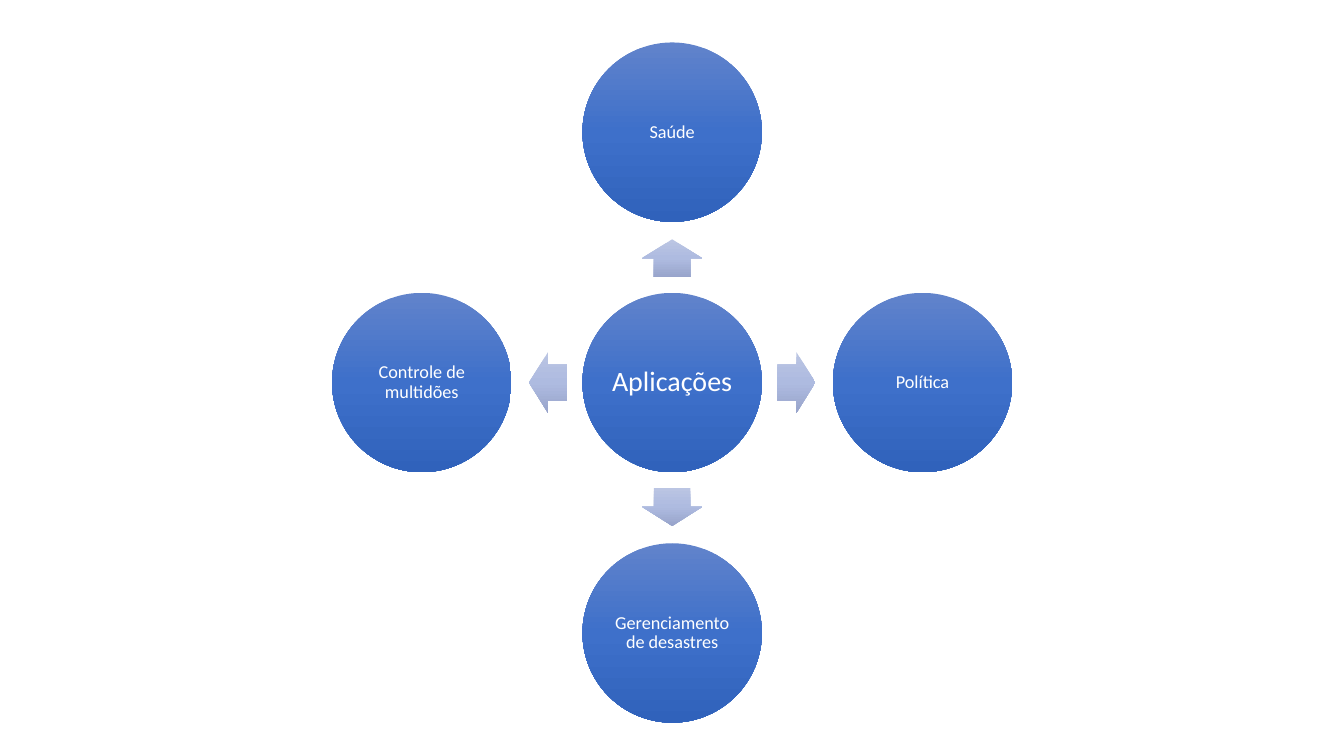
from copy import deepcopy
from dataclasses import dataclass

from pptx import Presentation
from pptx.dml.color import RGBColor
from pptx.enum.shapes import MSO_SHAPE as Preset
from pptx.enum.text import MSO_ANCHOR as Anchor, PP_ALIGN as Align
from pptx.oxml.ns import qn
from pptx.shapes.autoshape import Shape
from pptx.shapes.shapetree import SlideShapes
from pptx.util import Cm, Pt

WHITE = RGBColor(0xFF, 0xFF, 0xFF)
CIRCLE_COLOURS = (
    RGBColor(0x61, 0x83, 0xCB),
    RGBColor(0x3E, 0x70, 0xCA),
    RGBColor(0x30, 0x62, 0xBB),
)
ARROW_COLOURS = (
    RGBColor(0xBB, 0xC5, 0xE3),
    RGBColor(0xAE, 0xBB, 0xE0),
    RGBColor(0x98, 0xA4, 0xCB),
)

CENTRE_X, CENTRE_Y = 16.94, 9.64
DIAMETER = 4.52
CIRCLE_DISTANCE = 6.31
ARROW_DISTANCE = 3.13
ARROW_LENGTH, ARROW_WIDTH = 0.96, 1.53


@dataclass(frozen=True)
class Application:
    label: str
    step_x: int
    step_y: int
    rotation: int


APPLICATIONS = (
    Application("Saúde", 0, -1, 270),
    Application("Política", 1, 0, 0),
    Application("Gerenciamento de desastres", 0, 1, 90),
    Application("Controle de multidões", -1, 0, 180),
)


def set_attributes(target: object, values: dict) -> None:
    for name, value in values.items():
        setattr(target, name, value)


def add_gradient_shape(
    shapes: SlideShapes, preset: Preset, x: float, y: float,
    width: float, height: float, colours: tuple[RGBColor, ...],
) -> Shape:
    shape = shapes.add_shape(
        preset, Cm(x - width / 2), Cm(y - height / 2), Cm(width), Cm(height)
    )
    shape.shadow.inherit = False
    shape.line.fill.background()
    shape.fill.gradient()
    shape.fill.gradient_angle = 270
    gradient = shape._element.spPr.find(qn("a:gradFill"))
    gradient.set("rotWithShape", "0")
    stop_list = gradient.find(qn("a:gsLst"))
    stop_list.insert(1, deepcopy(stop_list[0]))
    for index, (stop, colour) in enumerate(zip(shape.fill.gradient_stops, colours)):
        stop.position = index / 2
        stop.color.rgb = colour
    return shape


def add_circle(
    shapes: SlideShapes, label: str, x: float, y: float, size: int, margin: float
) -> None:
    circle = add_gradient_shape(
        shapes, Preset.OVAL, x, y, DIAMETER, DIAMETER, CIRCLE_COLOURS
    )
    frame = circle.text_frame
    set_attributes(frame, {
        "word_wrap": True,
        "vertical_anchor": Anchor.MIDDLE,
        "margin_left": Cm(margin),
        "margin_top": Cm(margin),
        "margin_right": Cm(margin),
        "margin_bottom": Cm(margin),
    })
    para = frame.paragraphs[0]
    set_attributes(para, {"alignment": Align.CENTER, "line_spacing": 0.9})
    span = para.add_run()
    span.text = label
    set_attributes(span.font, {"name": "Calibri", "size": Pt(size)})
    span.font.color.rgb = WHITE


def add_arrow(shapes: SlideShapes, application: Application) -> None:
    arrow = add_gradient_shape(
        shapes, Preset.RIGHT_ARROW,
        CENTRE_X + application.step_x * ARROW_DISTANCE,
        CENTRE_Y + application.step_y * ARROW_DISTANCE,
        ARROW_LENGTH, ARROW_WIDTH, ARROW_COLOURS,
    )
    arrow.rotation = application.rotation
    arrow.adjustments[0] = 0.6
    arrow.adjustments[1] = 0.5


def main() -> None:
    deck = Presentation()
    set_attributes(deck, {"slide_width": Cm(33.87), "slide_height": Cm(19.05)})
    page = deck.slides.add_slide(deck.slide_layouts.get_by_name("Blank"))
    add_circle(page.shapes, "Aplicações", CENTRE_X, CENTRE_Y, 20, 0.08)
    for application in APPLICATIONS:
        add_arrow(page.shapes, application)
        add_circle(
            page.shapes, application.label,
            CENTRE_X + application.step_x * CIRCLE_DISTANCE,
            CENTRE_Y + application.step_y * CIRCLE_DISTANCE,
            13, 0.05,
        )
    deck.save("out.pptx")


if __name__ == "__main__":
    main()
